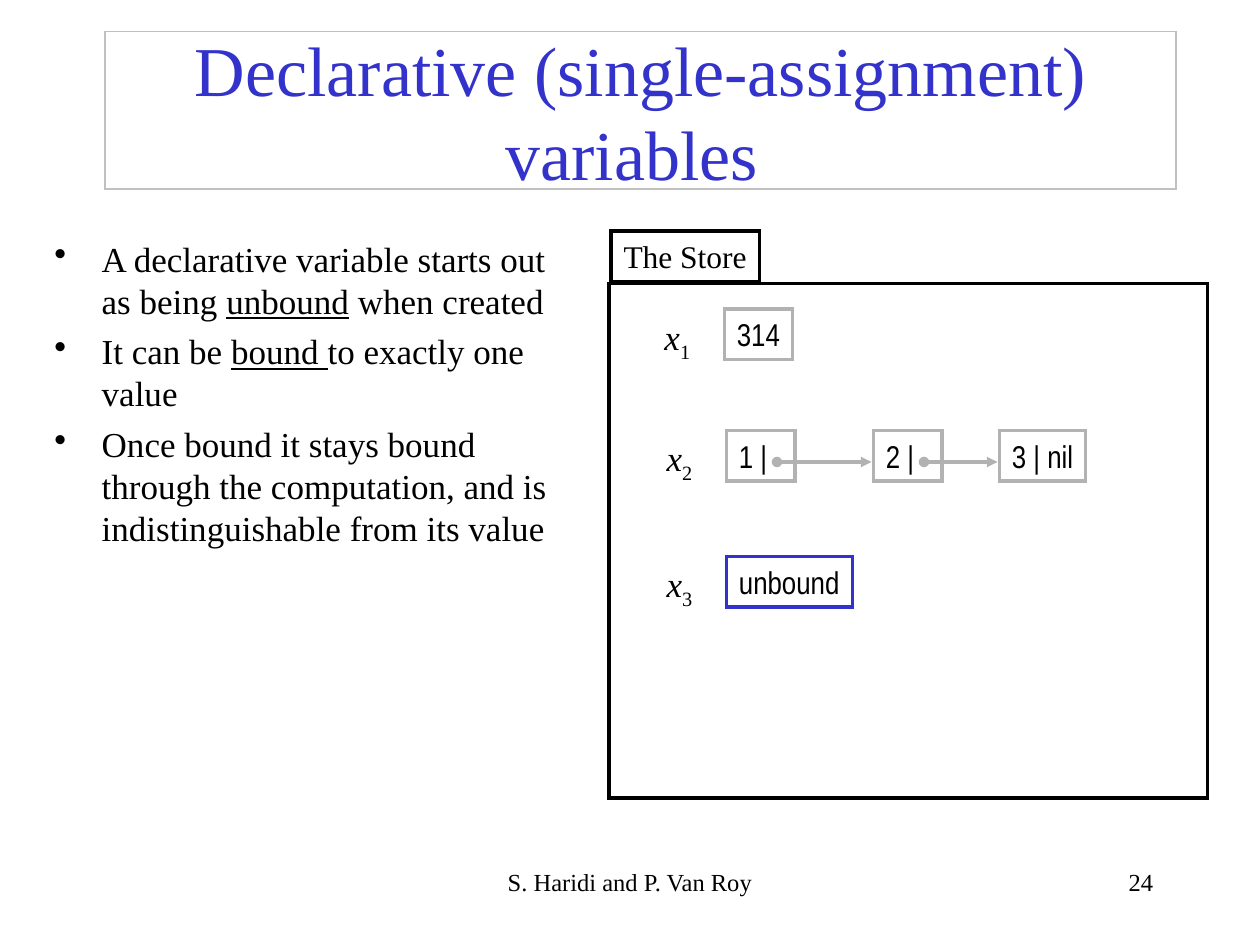
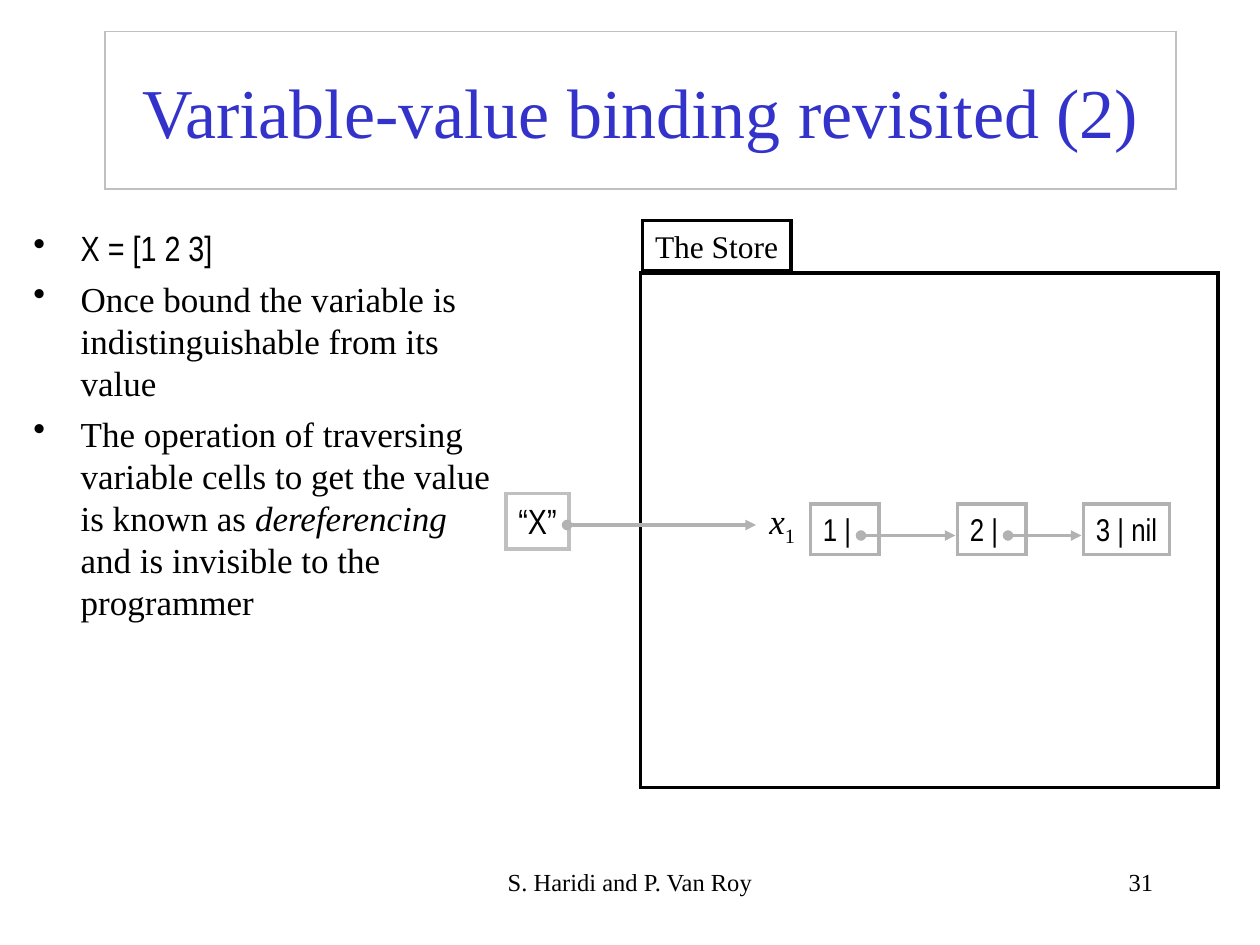
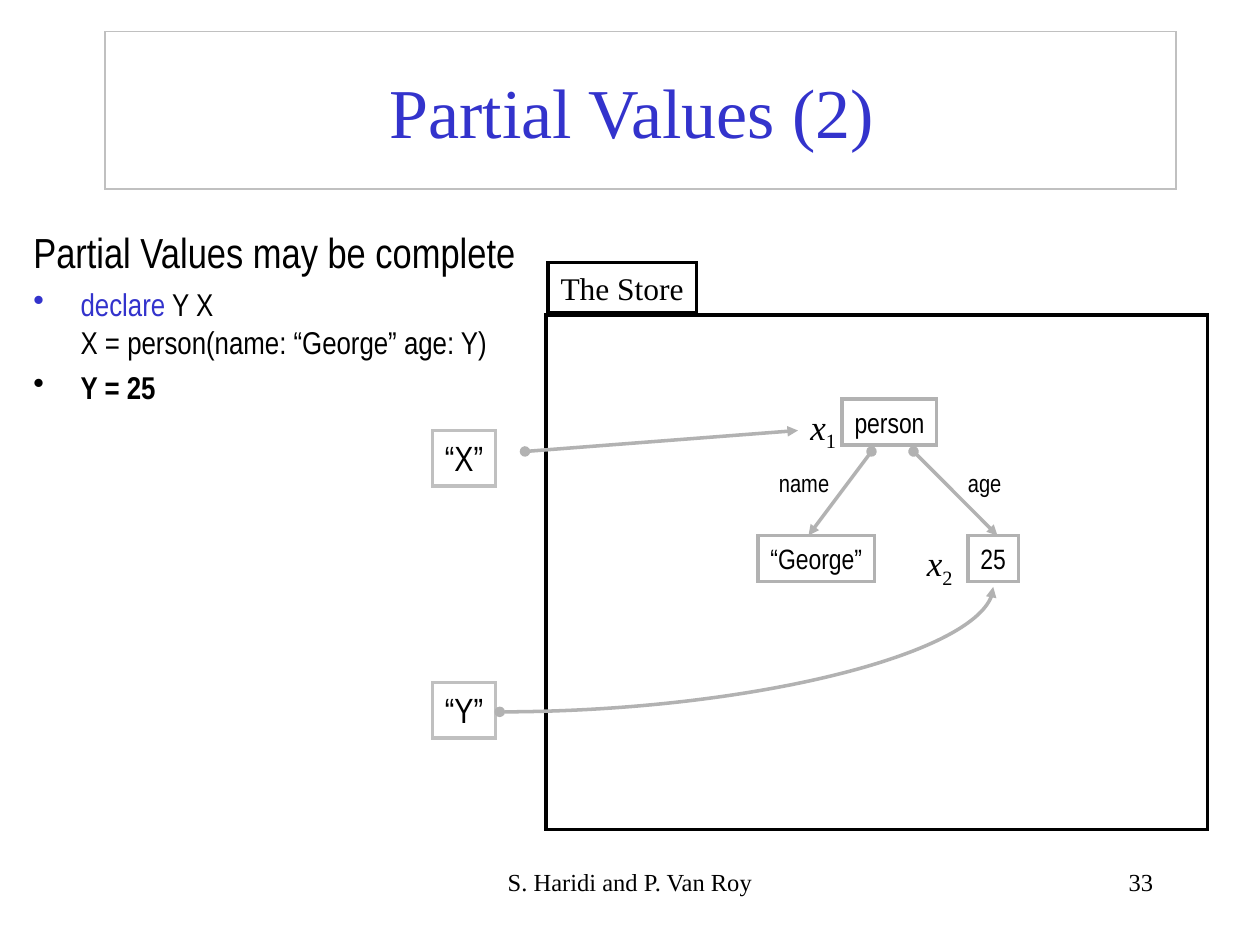
from dataclasses import dataclass
from lxml.etree import SubElement
from pptx import Presentation
from pptx.dml.color import RGBColor
from pptx.enum.shapes import MSO_CONNECTOR, MSO_SHAPE
from pptx.enum.text import MSO_ANCHOR, PP_ALIGN
from pptx.oxml.ns import qn
from pptx.util import Inches, Pt


@dataclass(frozen=True)
class Theme:
    serif: str = "Times New Roman"
    narrow: str = "Arial Narrow"
    black: str = "000000"
    blue: str = "3333CC"
    silver: str = "C0C0C0"
    gray: str = "B2B2B2"
    title: int = 40
    heading: int = 24
    body: int = 20
    cell: int = 18
    node: int = 16
    small: int = 14
    frame_width: float = 0.75
    stroke: float = 2
    bullet_indent: int = 27


THEME = Theme()
CELLS_PER_INCH = 12  # every position is in columns and rows of this grid
FOOTER = "S. Haridi and P. Van Roy"

# Box styles: height in rows, type size, outline
STYLES = {
    "cell": (4.8, THEME.cell, THEME.gray),
    "unbound": (4.8, THEME.cell, THEME.blue),
    "node": (4.4, THEME.node, THEME.gray),
    "name": (5.3, THEME.body, THEME.silver),
    "label": (4.1, THEME.small, None),
}

# Cells of the list [1 2 3]: text, offset in columns, width
LIST_CELLS = [("1 |", 0, 6.5), ("2 |", 14, 6.5), ("3 | nil", 26, 8.2)]

# Run styles
PLAIN = {}
UNDERLINE = {"underline": True}
ITALIC = {"italic": True}
BOLD = {"bold": True}
KEYWORD = {"color": THEME.blue}
CODE = {"font": THEME.narrow}

# Boxes: style, text, column, row, width; variables: index, column, row
SLIDES = [
    {
        "title": "Declarative (single-assignment) variables ",
        "number": 24,
        "points_at": (4, 22, 51, 47),
        "points": [
            [("A declarative variable starts out as being ", PLAIN),
             ("unbound", UNDERLINE), (" when created", PLAIN)],
            [("It can be ", PLAIN), ("bound ", UNDERLINE),
             ("to exactly one value", PLAIN)],
            [("Once bound it stays bound through the computation, and is "
              "indistinguishable from its value", PLAIN)],
        ],
        "store": (58, 27, 57),
        "variables": [(1, 62.1, 29.5), (2, 62.3, 41), (3, 62.3, 53)],
        "boxes": [("cell", "314", 69, 29.45, 6.5),
                  ("unbound", "unbound", 69.2, 53, 12)],
        "list_at": (69.2, 41),
    },
    {
        "title": "Variable-value binding revisited (2)",
        "number": 31,
        "points_at": (2, 21, 46, 53),
        "points": [
            [("X = [1 2 3]", CODE)],
            [("Once bound the variable is indistinguishable from its value",
              PLAIN)],
            [("The operation of traversing variable cells to get the value "
              "is known as ", PLAIN), ("dereferencing ", ITALIC),
             ("and is invisible to the programmer", PLAIN)],
        ],
        "store": (61, 26, 55),
        "variables": [(1, 72.1, 47)],
        "boxes": [("name", "“X”", 48.2, 47, 6)],
        "list_at": (77.2, 48),
        "arrows": [(54, 50, 72, 50)],
    },
    {
        "title": "Partial Values (2) ",
        "number": 33,
        "heading": "Partial Values may be complete",
        "points_at": (2, 21, 49, 26),
        "points_font": (THEME.narrow, THEME.cell, 4.5),
        "points": [
            [("declare", KEYWORD), (" Y X", PLAIN), ("\n", PLAIN),
             ("X = person(name: “George” age: Y)", PLAIN)],
            [("Y = 25", BOLD)],
        ],
        "store": (52, 30, 63),
        "variables": [(1, 76, 38), (2, 87.1, 51)],
        "boxes": [("node", "person", 80.2, 38, 9),
                  ("node", "“George”", 72.2, 51, 11.1),
                  ("node", "25", 92.2, 51, 4.8),
                  ("label", "name", 73, 44, 7.2),
                  ("label", "age", 91, 44, 5.5),
                  ("name", "“X”", 41.2, 41, 6),
                  ("name", "“Y”", 41.2, 65, 6)],
        "arrows": [(83, 43, 77, 51), (87, 43, 95, 51), (50, 43, 76, 41)],
        "curve": (47.6, 67.8, 94.6, 55.9),
    },
]


def grid(*cells):
    return [Inches(cell / CELLS_PER_INCH) for cell in cells]


def style_run(run, font, size, color=THEME.black, **marks):
    run.font.name = font
    run.font.size = Pt(size)
    run.font.color.rgb = RGBColor.from_string(color)
    for mark, value in marks.items():
        setattr(run.font, mark, value)


def add_outline(slide, at, color, width=THEME.stroke):
    outline = slide.shapes.add_shape(MSO_SHAPE.RECTANGLE, *grid(*at))
    outline.shadow.inherit = False
    outline.fill.background()
    outline.line.color.rgb = RGBColor.from_string(color)
    outline.line.width = Pt(width)
    SubElement(outline.line._get_or_add_ln(), qn("a:miter"), lim="800000")
    return outline


def add_text(slide, text, at, font, size, align=PP_ALIGN.LEFT, outline=None,
             tight=True):
    if outline:
        holder = add_outline(slide, at, outline)
    else:
        holder = slide.shapes.add_textbox(*grid(*at))
    frame = holder.text_frame
    frame.word_wrap = True
    if tight:
        frame.margin_right = 0
    frame.vertical_anchor = MSO_ANCHOR.TOP
    frame.text = text
    paragraph = frame.paragraphs[0]
    paragraph.alignment = align
    style_run(paragraph.runs[0], font, size)
    return paragraph


def add_title(slide, title):
    frame = add_outline(slide, (10, 3, 102, 15), THEME.silver,
                        THEME.frame_width).text_frame
    frame.word_wrap = True
    frame.vertical_anchor = MSO_ANCHOR.MIDDLE
    frame.text = title
    frame.paragraphs[0].alignment = PP_ALIGN.CENTER
    style_run(frame.paragraphs[0].runs[0], THEME.serif, THEME.title, THEME.blue)


def add_footer(slide, number):
    add_text(slide, FOOTER, (41, 82, 38, 6), THEME.serif, THEME.small,
             PP_ALIGN.CENTER, tight=False)
    add_text(slide, str(number), (86, 82, 25, 6), THEME.serif, THEME.small,
             PP_ALIGN.RIGHT, tight=False)


def add_bullet(paragraph, color):
    properties = paragraph._p.get_or_add_pPr()
    properties.set("marL", str(Pt(THEME.bullet_indent)))
    properties.set("indent", str(-Pt(THEME.bullet_indent)))
    bullet_color = SubElement(properties, qn("a:buClr"))
    SubElement(bullet_color, qn("a:srgbClr"), val=color)
    SubElement(properties, qn("a:buChar"), char="•")


def add_points(slide, content):
    font, size, gap = content.get("points_font", (THEME.serif, THEME.body, 5))
    frame = slide.shapes.add_textbox(*grid(*content["points_at"])).text_frame
    frame.word_wrap = True
    paragraph = frame.paragraphs[0]
    started = "heading" in content
    if started:
        paragraph.text = content["heading"]
        style_run(paragraph.runs[0], font, THEME.heading)
    for point in content["points"]:
        if started:
            paragraph = frame.add_paragraph()
        add_bullet(paragraph, point[0][1].get("color", THEME.black))
        if started:
            paragraph.space_before = Pt(gap)
        started = True
        for text, marks in point:
            if text == "\n":
                paragraph.add_line_break()
                continue
            run = paragraph.add_run()
            run.text = text
            style_run(run, **{"font": font, "size": size, **marks})


def add_store(slide, column, row, columns):
    add_outline(slide, (column, row, columns, 49), THEME.black)
    add_text(slide, "The Store", (column + 0.2, row - 5, 14.15, 4.8),
             THEME.serif, THEME.cell, outline=THEME.black)


def add_variable(slide, index, column, row):
    paragraph = add_text(slide, "x", (column, row, 4.8, 5.8),
                         THEME.serif, THEME.body)
    paragraph.runs[0].font.italic = True
    subscript = paragraph.add_run()
    subscript.text = str(index)
    style_run(subscript, THEME.serif, THEME.body)
    subscript.font._element.set("baseline", "-25000")


def add_box(slide, style, text, column, row, columns):
    rows, size, outline = STYLES[style]
    add_text(slide, text, (column, row, columns, rows), THEME.narrow, size,
             outline=outline)


def add_arrow(slide, *ends, kind=MSO_CONNECTOR.STRAIGHT):
    arrow = slide.shapes.add_connector(kind, *grid(*ends))
    arrow.line.color.rgb = RGBColor.from_string(THEME.gray)
    arrow.line.width = Pt(THEME.stroke)
    line = arrow.line._get_or_add_ln()
    SubElement(line, qn("a:headEnd"), type="oval")
    SubElement(line, qn("a:tailEnd"), type="triangle")
    SubElement(arrow.element.spPr, qn("a:effectLst"))
    return arrow


def add_curve(slide, *ends):
    curve = add_arrow(slide, *ends, kind=MSO_CONNECTOR.CURVE)
    curve.element.spPr.find(qn("a:prstGeom")).set("prst", "curvedConnector2")


def add_list(slide, column, row):
    for text, offset, columns in LIST_CELLS:
        add_box(slide, "cell", text, column + offset, row, columns)
    for (_, offset, _), (_, following, _) in zip(LIST_CELLS, LIST_CELLS[1:]):
        add_arrow(slide, column + offset + 4.8, row + 3,
                  column + following - 0.2, row + 3)


def main():
    deck = Presentation()
    deck.slide_width, deck.slide_height = Inches(10), Inches(7.5)
    for content in SLIDES:
        slide = deck.slides.add_slide(deck.slide_layouts[6])
        add_title(slide, content["title"])
        add_points(slide, content)
        add_store(slide, *content["store"])
        for variable in content["variables"]:
            add_variable(slide, *variable)
        for box in content["boxes"]:
            add_box(slide, *box)
        if "list_at" in content:
            add_list(slide, *content["list_at"])
        for arrow in content.get("arrows", []):
            add_arrow(slide, *arrow)
        if "curve" in content:
            add_curve(slide, *content["curve"])
        add_footer(slide, content["number"])
    deck.save("out.pptx")


if __name__ == "__main__":
    main()
